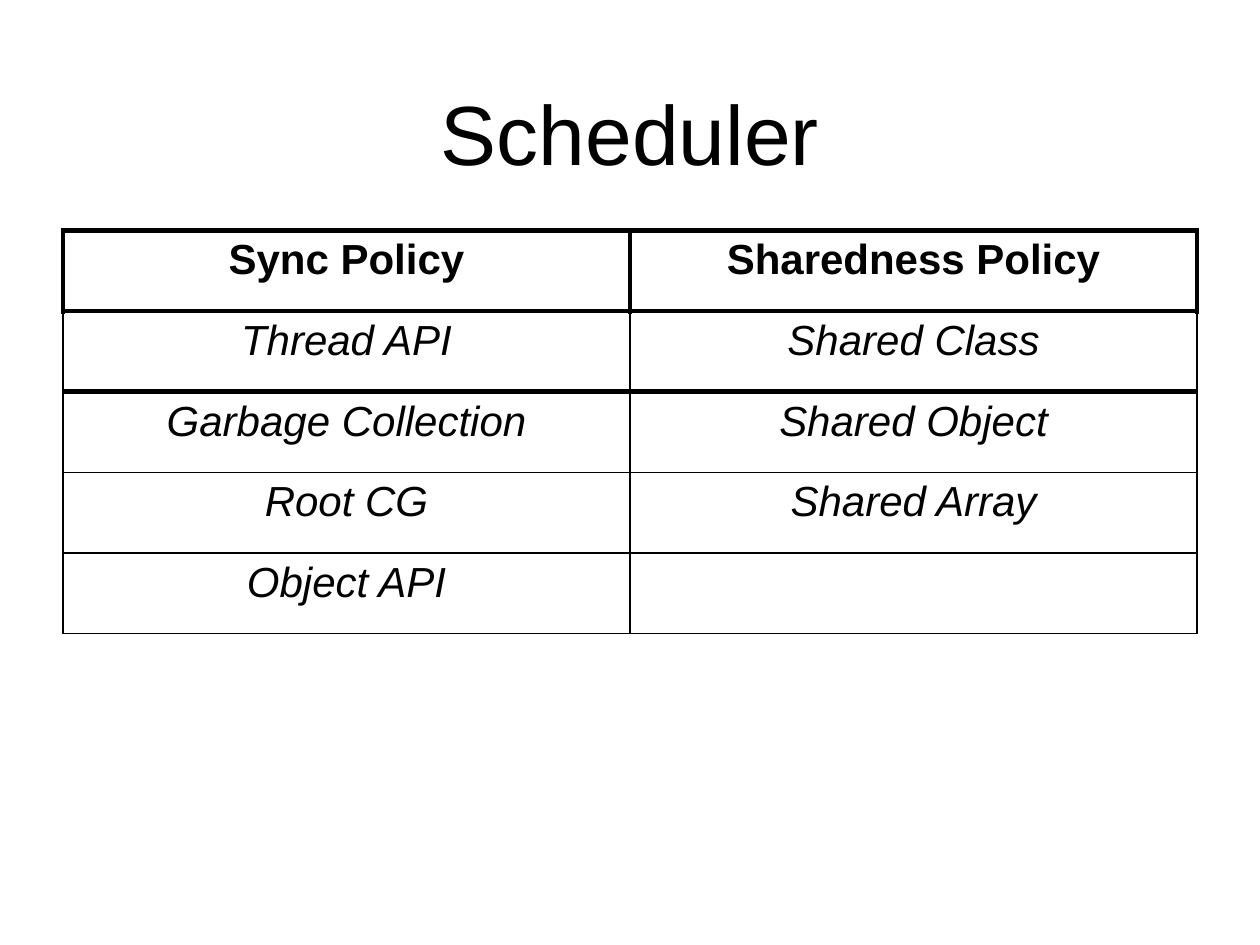
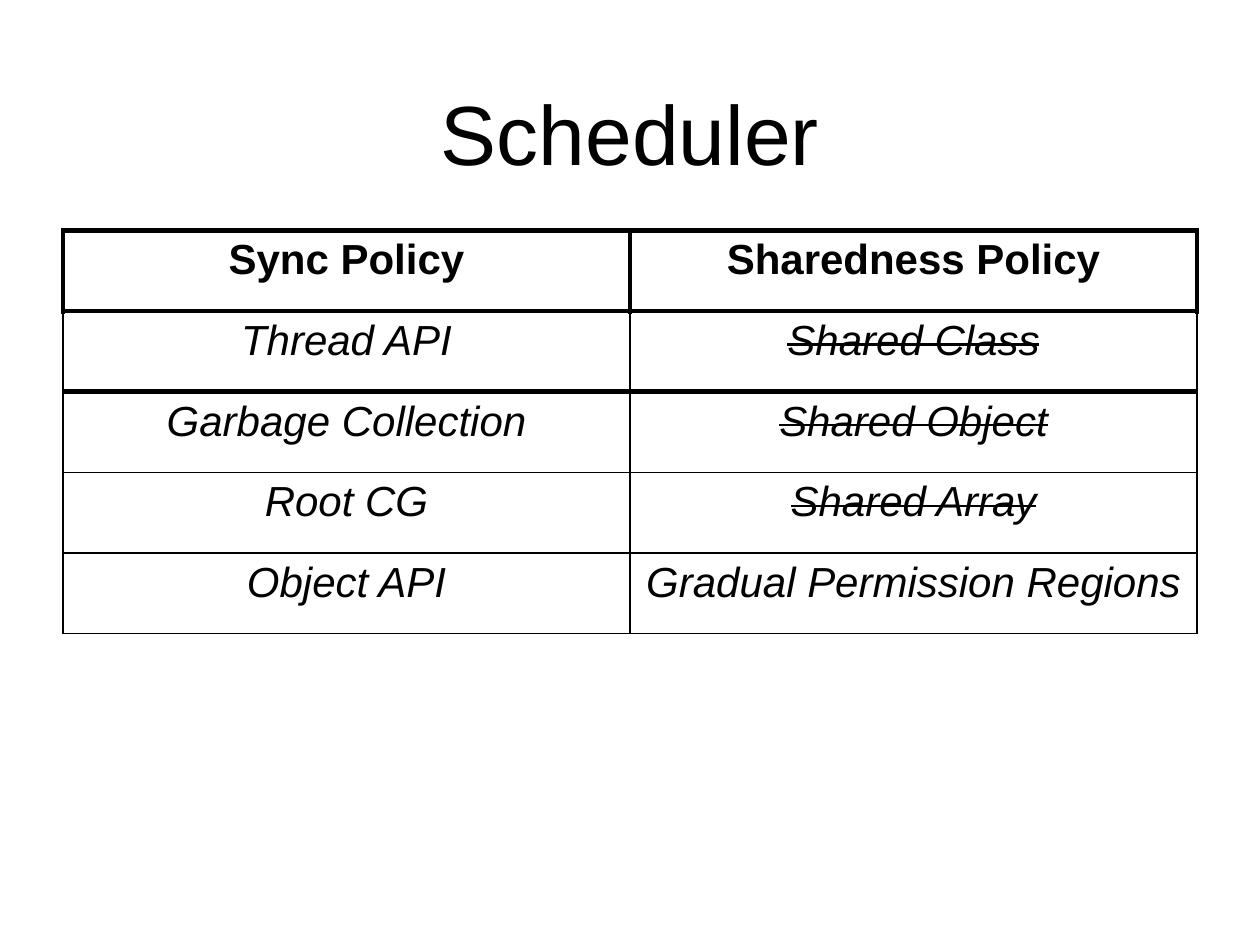
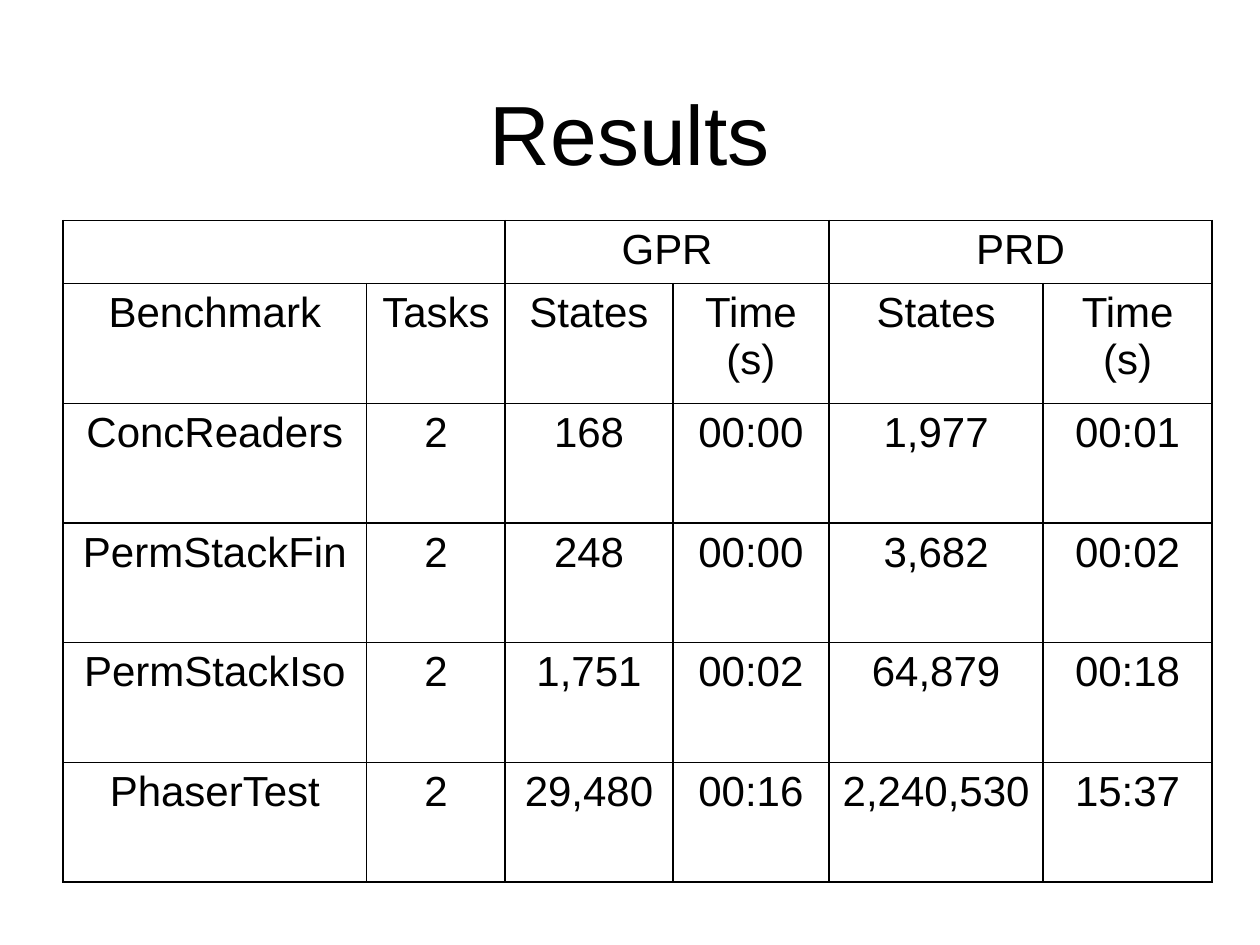
import pptx
import pptx.dml.color
import pptx.enum.text
import pptx.oxml
import pptx.oxml.ns
import pptx.util

Inches = pptx.util.Inches
Pt = pptx.util.Pt

BLACK = pptx.dml.color.RGBColor(0x00, 0x00, 0x00)
TITLE_FONT = {"name": "Arial", "size": Pt(48)}
CELL_FONT = {"name": "Arial", "size": Pt(24)}
THIN, THICK = Pt(1), Pt(3)
SIDES = "LRTB"

TITLE_BOX = (0.5, 0, 9, 1.55)
POLICY_BOX = (0.5, 1.83, 9, 3.2)
RESULTS_BOX = (0.5, 1.75, 9.12, 5.24)

POLICIES = [
    ("Sync Policy", "Sharedness Policy"),
    ("Thread API", "Shared Class"),
    ("Garbage Collection", "Shared Object"),
    ("Root CG", "Shared Array"),
    ("Object API", ""),
]
NEW_POLICY = "Gradual Permission Regions"

RESULT_COLS = (2.41, 1.1, 1.33, 1.24, 1.7, 1.34)
RESULTS = [
    ("", "", "GPR", "", "PRD", ""),
    ("Benchmark", "Tasks", "States", "Time\n(s)", "States", "Time\n(s)"),
    ("ConcReaders", "2", "168", "00:00", "1,977", "00:01"),
    ("PermStackFin", "2", "248", "00:00", "3,682", "00:02"),
    ("PermStackIso", "2", "1,751", "00:02", "64,879", "00:18"),
    ("PhaserTest", "2", "29,480", "00:16", "2,240,530", "15:37"),
]


def style_text(tf, font, strike=False):
    """Centre every paragraph and give its runs the font values."""
    for p in tf.paragraphs:
        p.alignment = pptx.enum.text.PP_ALIGN.CENTER
        for r in p.runs:
            for key, value in font.items():
                setattr(r.font, key, value)
            r.font.color.rgb = BLACK
            if strike:
                r.font._element.set("strike", "sngStrike")


def add_title(slide, text, box):
    tf = slide.shapes.add_textbox(*map(Inches, box)).text_frame
    layout = {
        "word_wrap": True,
        "vertical_anchor": pptx.enum.text.MSO_ANCHOR.BOTTOM,
    }
    margins = ("margin_left", "margin_top", "margin_right", "margin_bottom")
    layout.update(dict.fromkeys(margins, Inches(0.1)))
    for key, value in layout.items():
        setattr(tf, key, value)
    tf.text = text
    style_text(tf, TITLE_FONT)


def set_borders(cell, widths):
    tcPr = cell._tc.get_or_add_tcPr()
    for side in SIDES:
        tcPr.append(pptx.oxml.parse_xml(
            f'<a:ln{side} {pptx.oxml.ns.nsdecls("a")} w="{widths[side]}">'
            f'<a:solidFill><a:srgbClr val="{BLACK}"/></a:solidFill>'
            f'</a:ln{side}>'))


def add_grid(slide, box, col_widths, row_heights, rows):
    """Add a table without banding, filled with the text of the rows."""
    table = slide.shapes.add_table(
        len(rows), len(col_widths), *map(Inches, box)).table
    table.first_row = table.horz_banding = False
    for col, width in zip(table.columns, col_widths):
        col.width = Inches(width)
    for row, height, texts in zip(table.rows, row_heights, rows):
        row.height = Inches(height)
        for cell, text in zip(row.cells, texts):
            cell.text = text
    return table


def format_cell(cell, widths, font=None, strike=False):
    set_borders(cell, widths)
    cell.fill.background()
    style_text(cell.text_frame, {**CELL_FONT, **(font or {})}, strike)


def add_policy_table(slide, box, rows, struck=()):
    """Add the policy table; the texts in struck are crossed out."""
    n_rows, n_cols = len(rows), len(rows[0])
    table = add_grid(slide, box, [box[2] / n_cols] * n_cols,
                     [box[3] / n_rows] * n_rows, rows)
    thick_sides = {0: SIDES, 1: "TB", 2: "T"}
    for i, row in enumerate(table.rows):
        widths = {side: THICK if side in thick_sides.get(i, "") else THIN
                  for side in SIDES}
        font = {"bold": i == 0, "italic": i > 0}
        for cell in row.cells:
            format_cell(cell, widths, font, cell.text in struck)


def add_results_table(slide, box):
    group_height = 0.49
    body_height = (box[3] - group_height) / (len(RESULTS) - 1)
    heights = [group_height] + [body_height] * (len(RESULTS) - 1)
    table = add_grid(slide, box, RESULT_COLS, heights, RESULTS)
    for cell in table.iter_cells():
        format_cell(cell, dict.fromkeys(SIDES, THIN))
    for col in range(0, len(RESULT_COLS), 2):
        table.cell(0, col).merge(table.cell(0, col + 1))


def add_slide(prs, title):
    slide = prs.slides.add_slide(prs.slide_layouts[6])
    add_title(slide, title, TITLE_BOX)
    return slide


def main():
    prs = pptx.Presentation()
    prs.slide_width, prs.slide_height = Inches(10), Inches(7.5)

    add_policy_table(add_slide(prs, "Scheduler"), POLICY_BOX, POLICIES)

    replaced = [shared for _, shared in POLICIES[1:-1]]
    new_rows = POLICIES[:-1] + [(POLICIES[-1][0], NEW_POLICY)]
    add_policy_table(add_slide(prs, "Scheduler"), POLICY_BOX, new_rows, replaced)

    add_results_table(add_slide(prs, "Results"), RESULTS_BOX)
    prs.save("out.pptx")


if __name__ == "__main__":
    main()
